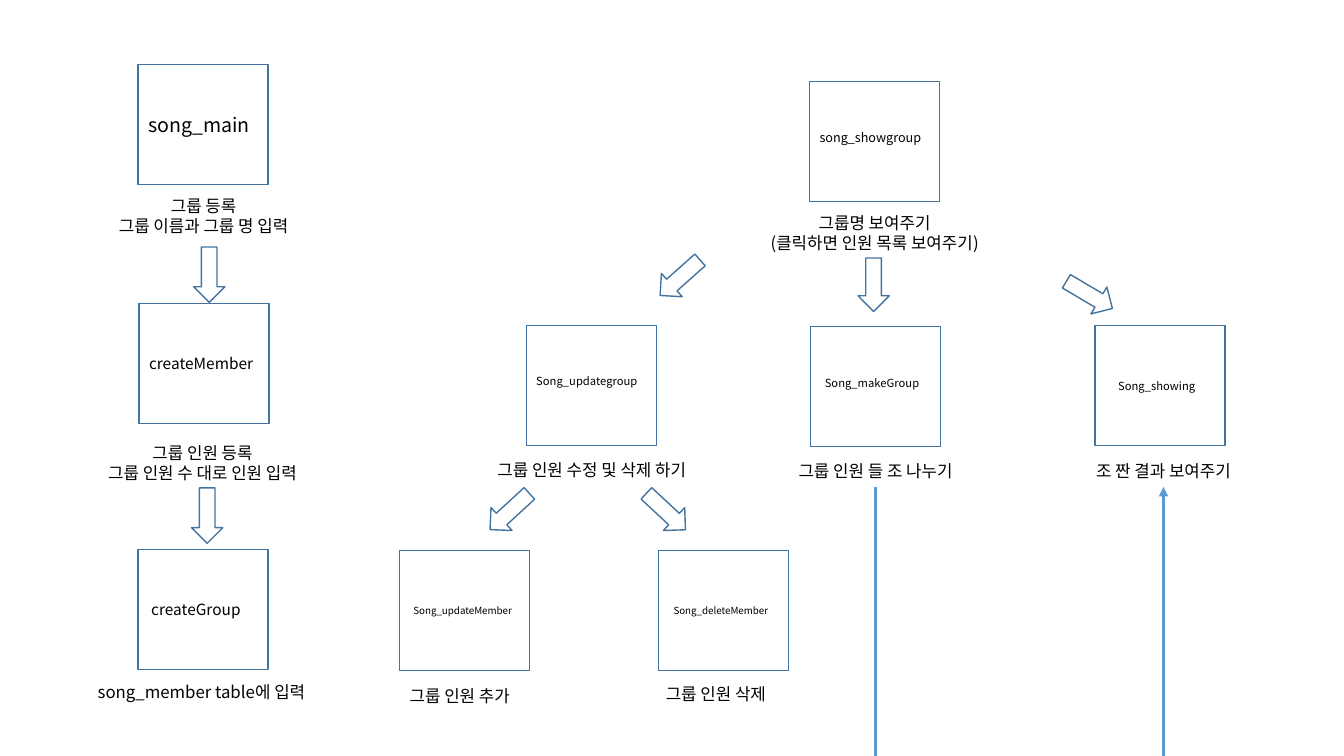
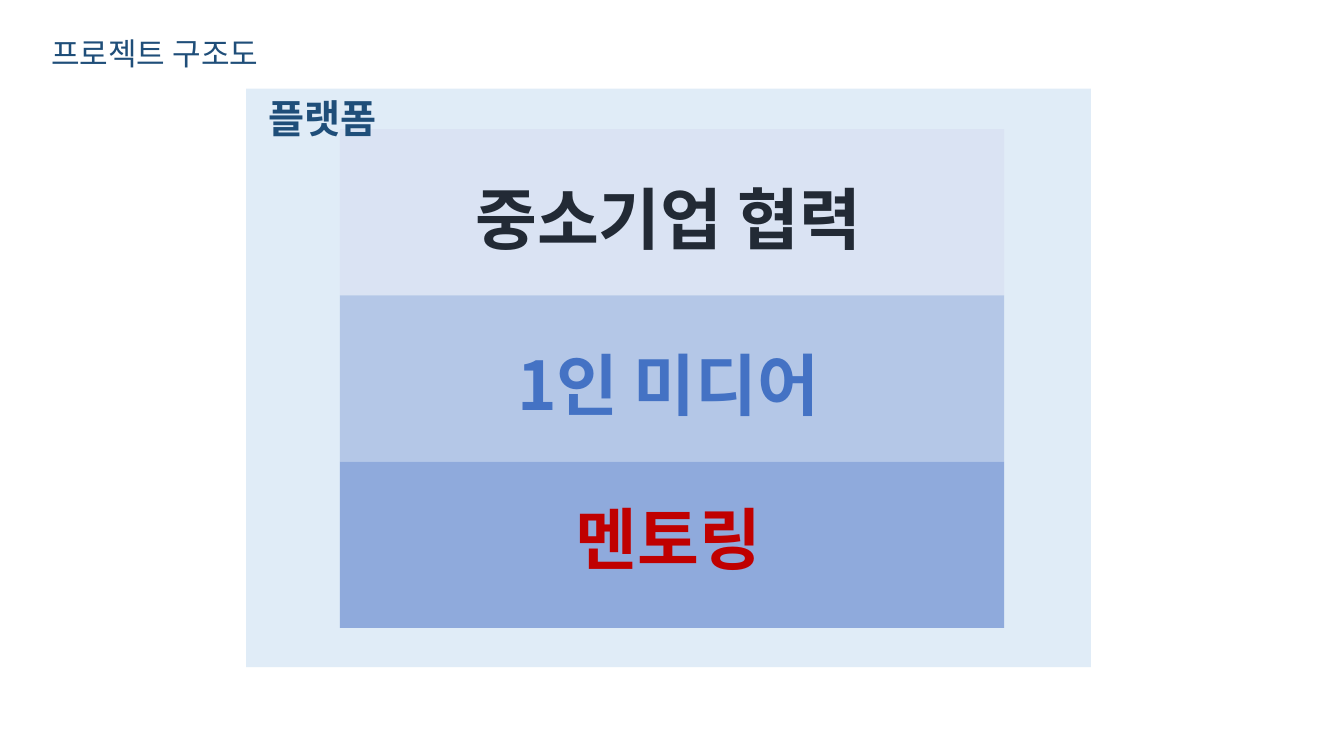
from lxml.etree import SubElement
from pptx import Presentation
from pptx.dml.color import RGBColor
from pptx.enum.shapes import MSO_CONNECTOR, MSO_SHAPE
from pptx.enum.text import MSO_ANCHOR, MSO_AUTO_SIZE, PP_ALIGN
from pptx.oxml.ns import qn
from pptx.util import Inches, Pt

FACE = "Noto Sans CJK KR"
INK, EDGE, FLOW, NAVY = "000000", "43739E", "5B9BD5", "1F4E79"
SIDE, TALL = 1.29, 1.19    # size of a page box
FOOT = 7.5                 # bottom edge of the slide

# left, top, name, text size, left inset, lift of the text above the middle
NODES = [
    (1.37, 0.64, "song_main", 14, 0.1, 0),
    (1.38, 3.01, "createMember", 11, 0.1, 0),
    (1.37, 5.45, "createGroup", 11, 0.13, 0),
    (8.03, 0.81, "song_showgroup", 9, 0.1, 0.04),
    (5.22, 3.23, "Song_updategroup", 8, 0.1, 0.04),
    (8.04, 3.24, "Song_makeGroup", 8, 0.14, 0.04),
    (10.86, 3.23, "Song_showing", 8, 0.23, 0),
    (3.96, 5.46, "Song_updateMember", 7, 0.14, 0),
    (6.53, 5.46, "Song_deleteMember", 7, 0.15, 0),
]

# left, top, width, lines
NOTES = [
    (0.13, 1.89, 3.78, ["그룹 등록", "그룹 이름과 그룹 명 입력"]),
    (0.68, 4.34, 2.66, ["그룹 인원 등록", "그룹 인원 수 대로 인원 입력"]),
    (7.33, 2.06, 2.69, ["그룹명 보여주기", "(클릭하면 인원 목록 보여주기)"]),
    (4.76, 4.51, 2.22, ["그룹 인원 수정 및 삭제 하기"]),
    (7.63, 4.52, 2.11, ["그룹 인원 들 조 나누기"]),
    (10.59, 4.52, 1.9, ["조 짠 결과 보여주기"]),
    (3.45, 6.75, 2.22, ["그룹 인원 추가"]),
    (5.99, 6.73, 2.22, ["그룹 인원 삭제"]),
]

# left, top, height, turn
ARROWS = [
    (1.9, 4.84, 0.55, 0),
    (1.92, 2.45, 0.55, 0),
    (8.51, 2.56, 0.53, 0),
    (6.59, 2.49, 0.53, 48.3),
    (6.45, 4.81, 0.53, 313),
    (4.9, 4.81, 0.53, 47.4),
    (10.65, 2.66, 0.53, 300.6),
]

# fill, text, text colour, text top
BANDS = [
    ("DAE3F3", "중소기업 협력", "222A35", 1.71),
    ("B4C7E7", "1인 미디어", "4472C4", 3.36),
    ("8FAADC", "멘토링", "C00000", 4.88),
]


def color(code):
    return RGBColor.from_string(code)


def write(frame, lines, size, ink=INK, bold=False, align=PP_ALIGN.CENTER):
    frame.word_wrap = True
    for i, line in enumerate(lines):
        para = frame.add_paragraph() if i else frame.paragraphs[0]
        para.text = line
        para.alignment = align
        font = para.font
        font.size, font.bold, font.name = Pt(size), bold, FACE
        font.color.rgb = color(ink)
        # Korean letters take the same face
        props = para._p.pPr.find(qn("a:defRPr"))
        SubElement(props, qn("a:ea")).set("typeface", FACE)


def label(slide, x, y, w, h, lines, size, **style):
    box = slide.shapes.add_textbox(Inches(x), Inches(y), Inches(w), Inches(h))
    frame = box.text_frame
    frame.auto_size = MSO_AUTO_SIZE.SHAPE_TO_FIT_TEXT
    write(frame, lines, size, **style)


def block(slide, kind, x, y, w, h, fill=None, line=None):
    shape = slide.shapes.add_shape(
        kind, Inches(x), Inches(y), Inches(w), Inches(h))
    shape.shadow.inherit = False
    if fill:
        shape.fill.solid()
        shape.fill.fore_color.rgb = color(fill)
    else:
        shape.fill.background()
    if line:
        shape.line.color.rgb = color(line)
        shape.line.width = Pt(1)
    else:
        shape.line.fill.background()
    return shape


def node(slide, x, y, name, size, inset, lift):
    shape = block(slide, MSO_SHAPE.RECTANGLE, x, y, SIDE, TALL, line=EDGE)
    frame = shape.text_frame
    frame.vertical_anchor = MSO_ANCHOR.MIDDLE
    frame.margin_left, frame.margin_right = Inches(inset), 0
    frame.margin_bottom = Inches(0.05 + 2 * lift)
    write(frame, [name], size, align=PP_ALIGN.LEFT)


def arrow(slide, x, y, h, turn):
    shape = block(slide, MSO_SHAPE.DOWN_ARROW, x, y, 0.31, h, line=EDGE)
    shape.rotation = turn


def flow(slide, x, start, end, head=False):
    wire = slide.shapes.add_connector(
        MSO_CONNECTOR.STRAIGHT, Inches(x), Inches(start), Inches(x), Inches(end))
    wire.line.color.rgb = color(FLOW)
    wire.line.width = Pt(2.25)
    if head:
        SubElement(wire.line._get_or_add_ln(), qn("a:tailEnd")).set("type", "triangle")
    SubElement(wire._element.spPr, qn("a:effectLst"))


def pages(slide):
    for item in NODES:
        node(slide, *item)
    for x, y, w, lines in NOTES:
        label(slide, x, y, w, 0.1 + 0.2 * len(lines), lines, 12)
    label(slide, 0.87, 6.71, 3.78, 0.3, ["song_member table에 입력"], 12,
          align=PP_ALIGN.LEFT)
    for item in ARROWS:
        arrow(slide, *item)
    # Route from making groups to showing them
    flow(slide, 8.68, 4.83, FOOT)
    flow(slide, 11.54, FOOT, 4.83, head=True)


def layers(slide):
    # Pale platform panel
    panel = block(slide, MSO_SHAPE.RECTANGLE, 2.44, 0.88, 8.38, 5.74, "BDD7EE")
    tint = panel.fill._xPr.find(qn("a:solidFill"))[0]
    SubElement(tint, qn("a:alpha")).set("val", "46000")
    # Stacked bands
    for i, (fill, text, ink, top) in enumerate(BANDS):
        block(slide, MSO_SHAPE.RECTANGLE, 3.37, 1.28 + 1.65 * i, 6.59, 1.65, fill)
        label(slide, 4.26, top, 4.74, 0.91, [text], 48, ink=ink, bold=True)
    # Headings
    label(slide, 1.46, 0.89, 3.47, 0.57, ["플랫폼"], 28, ink=NAVY, bold=True)
    label(slide, 0.29, 0.29, 2.49, 0.47, ["프로젝트 구조도"], 22.2, ink=NAVY)


def main():
    deck = Presentation()
    deck.slide_width, deck.slide_height = Inches(13.33), Inches(FOOT)
    for draw in (pages, layers):
        draw(deck.slides.add_slide(deck.slide_layouts[6]))
    deck.save("out.pptx")


if __name__ == "__main__":
    main()
